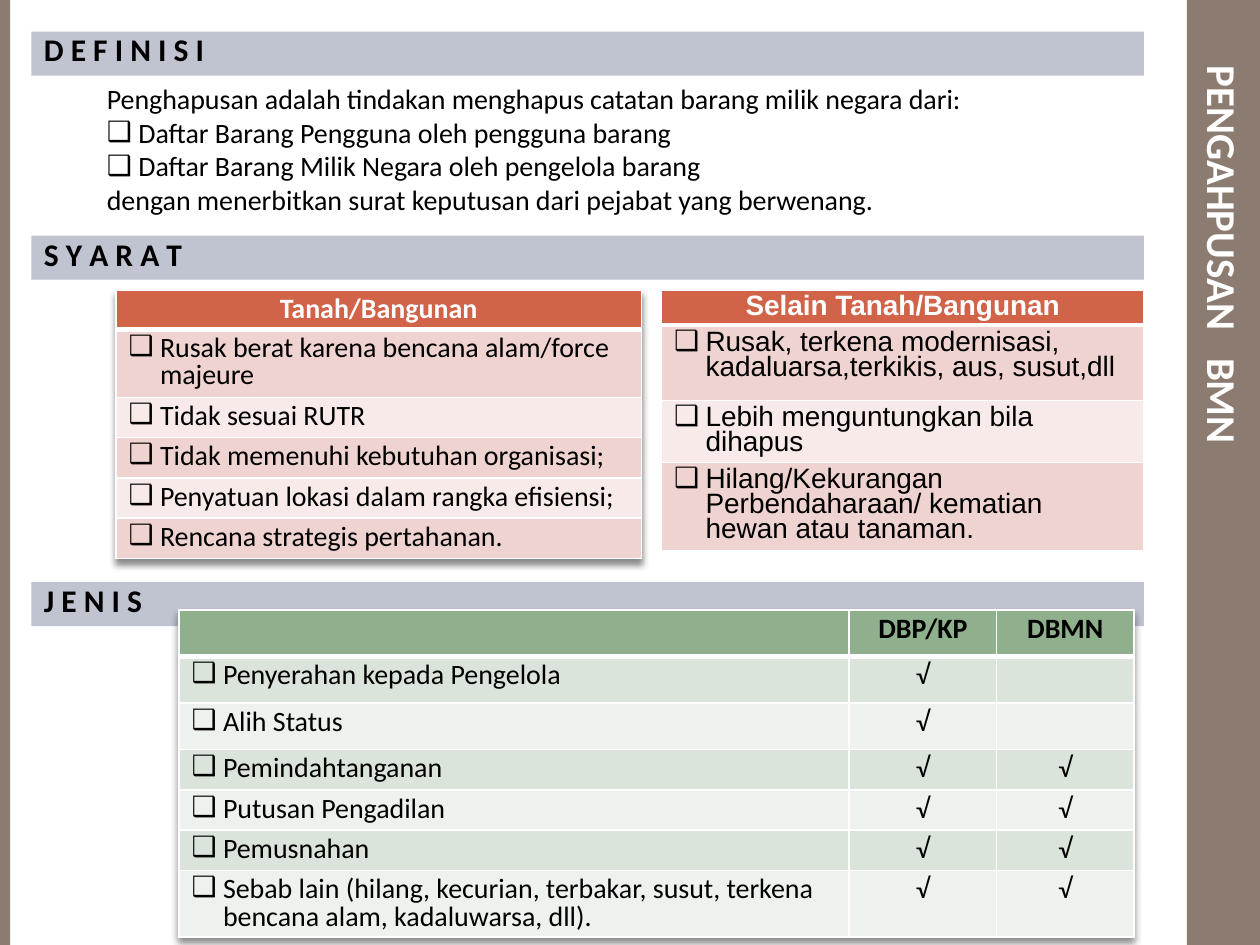
from dataclasses import dataclass
from typing import Optional

from lxml import etree
from pptx import Presentation
from pptx.dml.color import RGBColor
from pptx.enum.shapes import MSO_SHAPE
from pptx.enum.text import MSO_ANCHOR, PP_ALIGN
from pptx.oxml.ns import qn
from pptx.util import Inches, Pt

RECTANGLE = MSO_SHAPE.RECTANGLE
LEFT, CENTER = PP_ALIGN.LEFT, PP_ALIGN.CENTER
TOP, MIDDLE = MSO_ANCHOR.TOP, MSO_ANCHOR.MIDDLE
TITLE_ONLY = 5
COLORS = {
    "brown": "8C7B70", "band": "C0C3D0", "black": "000000", "white": "FFFFFF",
    "red": "D16349", "red_mid": "EED3D0", "red_pale": "F7EAE9",
    "green": "8FB08C", "green_mid": "DBE4DA", "green_pale": "EEF2EE",
}
BULLET = "❑"
CHECK = "√"


@dataclass
class Style:
    size: float = 16
    font: str = "Calibri"
    color: str = "black"
    bold: bool = False


@dataclass
class Grid:
    left: float
    top: float
    columns: list[float]
    heights: list[float]
    rows: list[list[str]]
    palette: str
    header: Style
    body: Style
    shadow: bool = False
    bottom_margin: float = 0.05


BANDS = [("D E F I N I S I", 0.25), ("S Y A R A T", 1.87), ("J E N I S", 4.62)]
BARS = [(9.42, 0.58), (0, 0.08)]
DEFINITION = [
    ("Penghapusan adalah tindakan menghapus catatan barang milik negara dari:", False),
    ("Daftar Barang Pengguna oleh pengguna barang", True),
    ("Daftar Barang Milik Negara oleh pengelola barang", True),
    ("dengan menerbitkan surat keputusan dari pejabat yang berwenang.", False),
]
GRIDS = [
    Grid(0.92, 2.3, [4.17], [0.3, 0.54] + [0.32] * 4, [
        ["Tanah/Bangunan"],
        ["Rusak berat karena bencana alam/force majeure"],
        ["Tidak sesuai RUTR"],
        ["Tidak memenuhi kebutuhan organisasi;"],
        ["Penyatuan lokasi dalam rangka efisiensi;"],
        ["Rencana strategis pertahanan."],
    ], "red", Style(color="white", bold=True), Style(), True),
    Grid(5.25, 2.3, [3.83], [0.28, 0.6, 0.49, 0.69], [
        ["Selain Tanah/Bangunan"],
        ["Rusak, terkena modernisasi, kadaluarsa,terkikis, aus, susut,dll"],
        ["Lebih menguntungkan bila dihapus"],
        ["Hilang/Kekurangan Perbendaharaan/ kematian hewan atau tanaman."],
    ], "red", Style(font="Arial", color="white", bold=True), Style(font="Arial"),
        bottom_margin=0.01),
    Grid(1.42, 4.84, [5.32, 1.17, 1.09], [0.37] * 3 + [0.32] * 3 + [0.53], [
        ["", "DBP/KP", "DBMN"],
        ["Penyerahan kepada Pengelola", CHECK, ""],
        ["Alih Status", CHECK, ""],
        ["Pemindahtanganan", CHECK, CHECK],
        ["Putusan Pengadilan", CHECK, CHECK],
        ["Pemusnahan", CHECK, CHECK],
        ["Sebab lain (hilang, kecurian, terbakar, susut, terkena bencana alam, "
         "kadaluwarsa, dll).", CHECK, CHECK],
    ], "green", Style(bold=True), Style(), True),
]


def rgb(name: str) -> RGBColor:
    return RGBColor.from_string(COLORS[name])


def add_span(para, text: str, style: Style):
    span = para.add_run()
    span.text = text
    span.font.size = Pt(style.size)
    span.font.name = style.font
    span.font.bold = style.bold
    span.font.color.rgb = rgb(style.color)
    return span


def write(para, text: str, style: Style, align=LEFT, spacing: Optional[float] = None,
          bullet: bool = False, hanging: bool = False) -> None:
    para.alignment = align
    if spacing:
        para.line_spacing = spacing
    properties = para._p.get_or_add_pPr()
    if hanging:
        properties.set("marL", str(Inches(0.25)))
        properties.set("indent", str(-Inches(0.25)))
    if bullet:
        etree.SubElement(properties, qn("a:buFont")).set("typeface", "Arial")
        etree.SubElement(properties, qn("a:buChar")).set("char", BULLET)
    if text:
        add_span(para, text, style)
    else:
        ending = etree.SubElement(para._p, qn("a:endParaRPr"), sz=str(int(style.size * 100)))
        etree.SubElement(ending, qn("a:latin")).set("typeface", style.font)


def add_rectangle(page, left: float, top: float, width: float, height: float, color: str):
    box = page.shapes.add_shape(RECTANGLE, Inches(left), Inches(top), Inches(width), Inches(height))
    box.shadow.inherit = False
    box.fill.solid()
    box.fill.fore_color.rgb = rgb(color)
    box.line.fill.background()
    return box


def add_title(page) -> None:
    title = page.shapes.title
    title.left, title.top = Inches(6.5), Inches(3.34)
    title.width, title.height = Inches(6.42), Inches(0.58)
    title.rotation = 90
    frame = title.text_frame
    frame.word_wrap = True
    frame.vertical_anchor = MIDDLE
    para = frame.paragraphs[0]
    para.alignment = LEFT
    style = Style(23.4, color="white", bold=True)
    add_span(para, "PENGAHPUSAN", style)
    add_span(para, " ", style)._r.get_or_add_rPr().set("spc", "1060")
    add_span(para, "BMN", style)
    for left, width in BARS:
        title.element.addprevious(add_rectangle(page, left, 0, width, 7.5, "brown").element)


def add_band(page, text: str, top: float) -> None:
    frame = add_rectangle(page, 0.25, top, 8.83, 0.35, "band").text_frame
    frame.word_wrap = True
    frame.vertical_anchor = TOP
    write(frame.paragraphs[0], text, Style(18, bold=True), spacing=0.8)


def add_definition(page) -> None:
    box = page.shapes.add_textbox(Inches(0.75), Inches(0.6), Inches(8.33), Inches(1.17))
    frame = box.text_frame
    frame.word_wrap = True
    for index, (text, bullet) in enumerate(DEFINITION):
        para = frame.add_paragraph() if index else frame.paragraphs[0]
        write(para, text, Style(), bullet=bullet, hanging=True)


def add_borders(cell, bottom: float) -> None:
    properties = cell._tc.get_or_add_tcPr()
    for position, (side, width) in enumerate([("L", 1), ("R", 1), ("T", 1), ("B", bottom)]):
        line = etree.Element(qn(f"a:ln{side}"), w=str(Pt(width)))
        fill = etree.SubElement(line, qn("a:solidFill"))
        etree.SubElement(fill, qn("a:srgbClr")).set("val", COLORS["white"])
        properties.insert(position, line)


def add_table_shadow(table) -> None:
    effects = etree.Element(qn("a:effectLst"))
    shadow = etree.SubElement(effects, qn("a:outerShdw"), blurRad=str(Pt(4)),
                              dist=str(Pt(3)), dir="5400000", algn="ctr", rotWithShape="0")
    color = etree.SubElement(shadow, qn("a:srgbClr"), val=COLORS["black"])
    etree.SubElement(color, qn("a:alpha")).set("val", "45000")
    table._tbl.tblPr.insert(0, effects)


def add_grid(page, grid: Grid) -> None:
    table = page.shapes.add_table(
        len(grid.rows), len(grid.columns), Inches(grid.left), Inches(grid.top),
        Inches(sum(grid.columns)), Inches(sum(grid.heights))).table
    for column, width in zip(table.columns, grid.columns):
        column.width = Inches(width)
    for row, height in zip(table.rows, grid.heights):
        row.height = Inches(height)
    for r, texts in enumerate(grid.rows):
        header = r == 0
        shade = "" if header else "_mid" if r % 2 else "_pale"
        for c, text in enumerate(texts):
            cell = table.cell(r, c)
            cell.margin_bottom = Inches(grid.bottom_margin)
            cell.fill.solid()
            cell.fill.fore_color.rgb = rgb(grid.palette + shade)
            add_borders(cell, 3 if header else 1)
            item = c == 0 and not header
            write(cell.text_frame.paragraphs[0], text, grid.header if header else grid.body,
                  LEFT if item else CENTER, 0.8, bullet=item, hanging=not header)
    if grid.shadow:
        add_table_shadow(table)


def main() -> None:
    deck = Presentation()
    deck.slide_width, deck.slide_height = Inches(10), Inches(7.5)
    page = deck.slides.add_slide(deck.slide_layouts[TITLE_ONLY])
    add_title(page)
    for text, top in BANDS:
        add_band(page, text, top)
    add_definition(page)
    for grid in GRIDS:
        add_grid(page, grid)
    deck.save("out.pptx")


if __name__ == "__main__":
    main()
